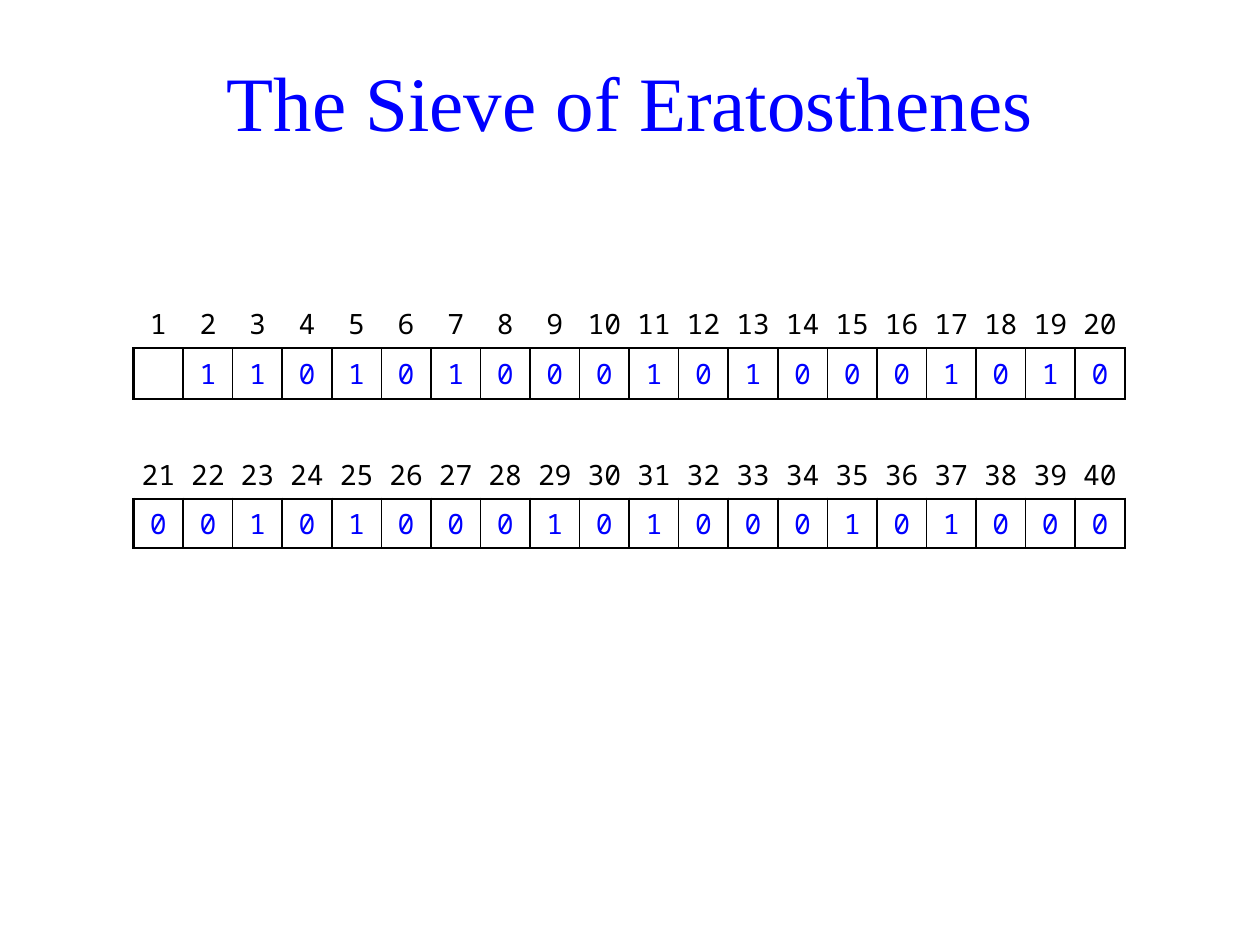
"""Build a slide showing the Sieve of Eratosthenes as two rows of flagged numbers."""
from dataclasses import dataclass

from lxml.etree import SubElement
from pptx import Presentation
from pptx.dml.color import RGBColor
from pptx.enum.text import MSO_ANCHOR, PP_ALIGN
from pptx.oxml.ns import qn
from pptx.util import Inches, Pt

BLUE = RGBColor(0x00, 0x00, 0xFF)
BLACK = RGBColor(0x00, 0x00, 0x00)
THICK, THIN = 1.5, 1
COLS = 20
CELL_FORMAT = {
    "margin_left": 0,
    "margin_right": 0,
    "margin_top": Inches(0.05),
    "margin_bottom": Inches(0.05),
    "vertical_anchor": MSO_ANCHOR.MIDDLE,
}


@dataclass
class Row:
    values: list[str]
    color: RGBColor = BLACK
    boxed: bool = False


def numbers(first: int) -> Row:
    return Row([str(n) for n in range(first, first + COLS)])


def flags(bits: str) -> Row:
    return Row([bit.strip() for bit in bits], BLUE, True)


def write(tf, text: str, font: str, size: float, color: RGBColor) -> None:
    p = tf.paragraphs[0]
    p.alignment = PP_ALIGN.CENTER
    r = p.add_run()
    r.text = text
    for name, value in {"name": font, "size": Pt(size)}.items():
        setattr(r.font, name, value)
    r.font.color.rgb = color


def set_borders(cell, widths: dict[str, float]) -> None:
    tc_pr = cell._tc.get_or_add_tcPr()
    for side, width in widths.items():
        ln = SubElement(tc_pr, qn(f"a:ln{side}"), w=str(Pt(width)))
        if width:
            fill = SubElement(ln, qn("a:solidFill"))
            SubElement(fill, qn("a:srgbClr"), val=str(BLACK))
        else:
            SubElement(ln, qn("a:noFill"))


def add_sieve(s, rows: list[Row]) -> None:
    width, height = Inches(7.87), Inches(1.97)
    table = s.shapes.add_table(
        len(rows), COLS, Inches(1.06), Inches(2.37), width, height
    ).table
    table.first_row = table.horz_banding = False
    for col in table.columns:
        col.width = width // COLS
    for i, row in enumerate(rows):
        table.rows[i].height = height // len(rows)
        above = i > 0 and rows[i - 1].boxed
        below = i + 1 < len(rows) and rows[i + 1].boxed
        inner = THIN if row.boxed else 0
        outer = THICK if row.boxed else 0
        for j, value in enumerate(row.values):
            cell = table.cell(i, j)
            for name, setting in CELL_FORMAT.items():
                setattr(cell, name, setting)
            set_borders(cell, {
                "L": outer if j == 0 else inner,
                "R": outer if j == COLS - 1 else inner,
                "T": THICK if row.boxed or above else 0,
                "B": THICK if row.boxed or below else 0,
            })
            cell.fill.background()
            if value:
                write(cell.text_frame, value, "Noto Sans Mono", 16, row.color)


def main() -> None:
    prs = Presentation()
    prs.slide_width, prs.slide_height = Inches(10), Inches(7.5)
    s = prs.slides.add_slide(prs.slide_layouts[6])
    title = s.shapes.add_textbox(Inches(0.47), Inches(0.21), Inches(9.06), Inches(1.18))
    tf = title.text_frame
    tf.word_wrap = True
    tf.vertical_anchor = MSO_ANCHOR.MIDDLE
    write(tf, "The Sieve of Eratosthenes", "Times New Roman", 44, BLUE)
    add_sieve(s, [
        numbers(1),
        flags(" 1101010001010001010"),
        Row([""] * COLS),
        numbers(21),
        flags("00101000101000101000"),
    ])
    prs.save("out.pptx")


main()
